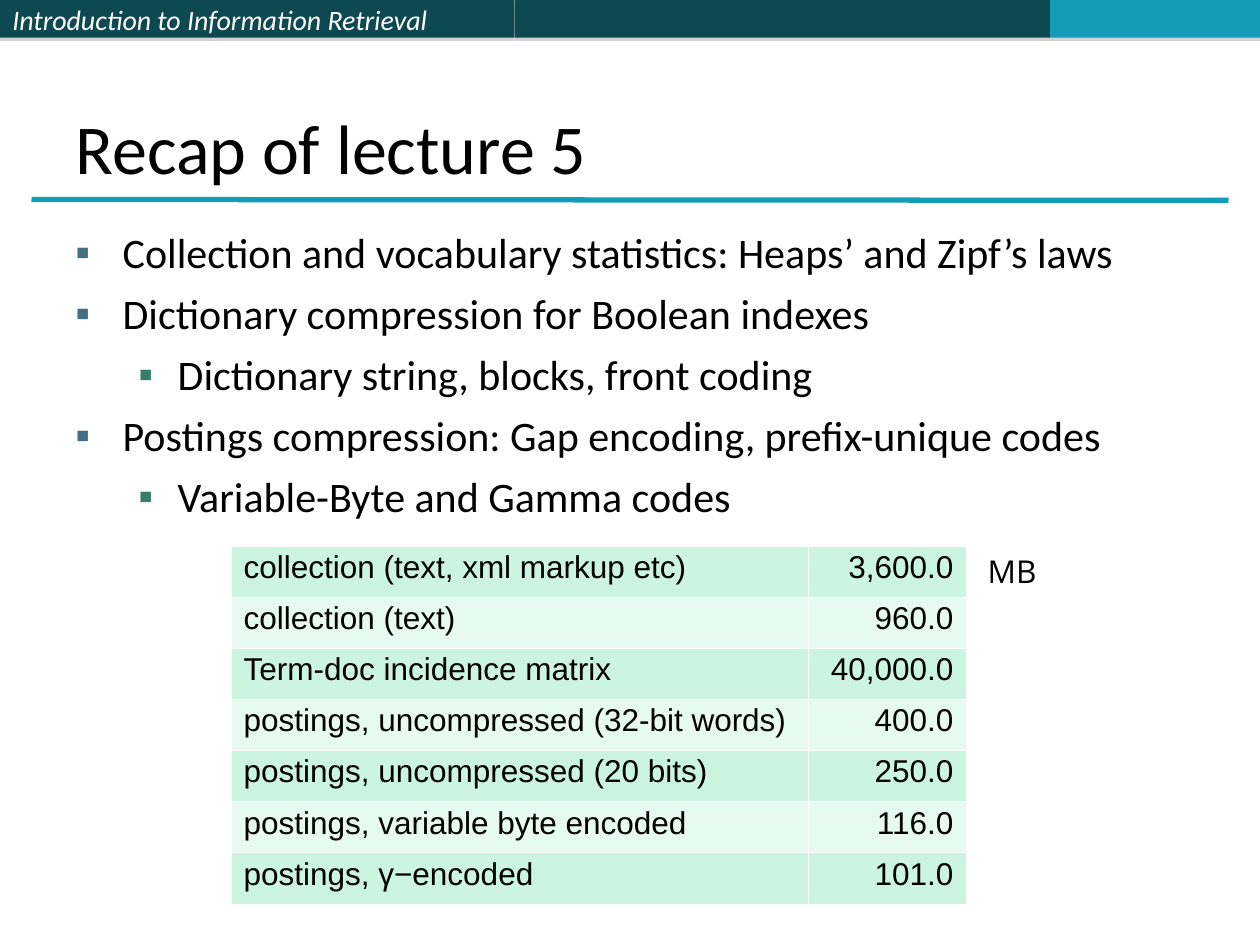
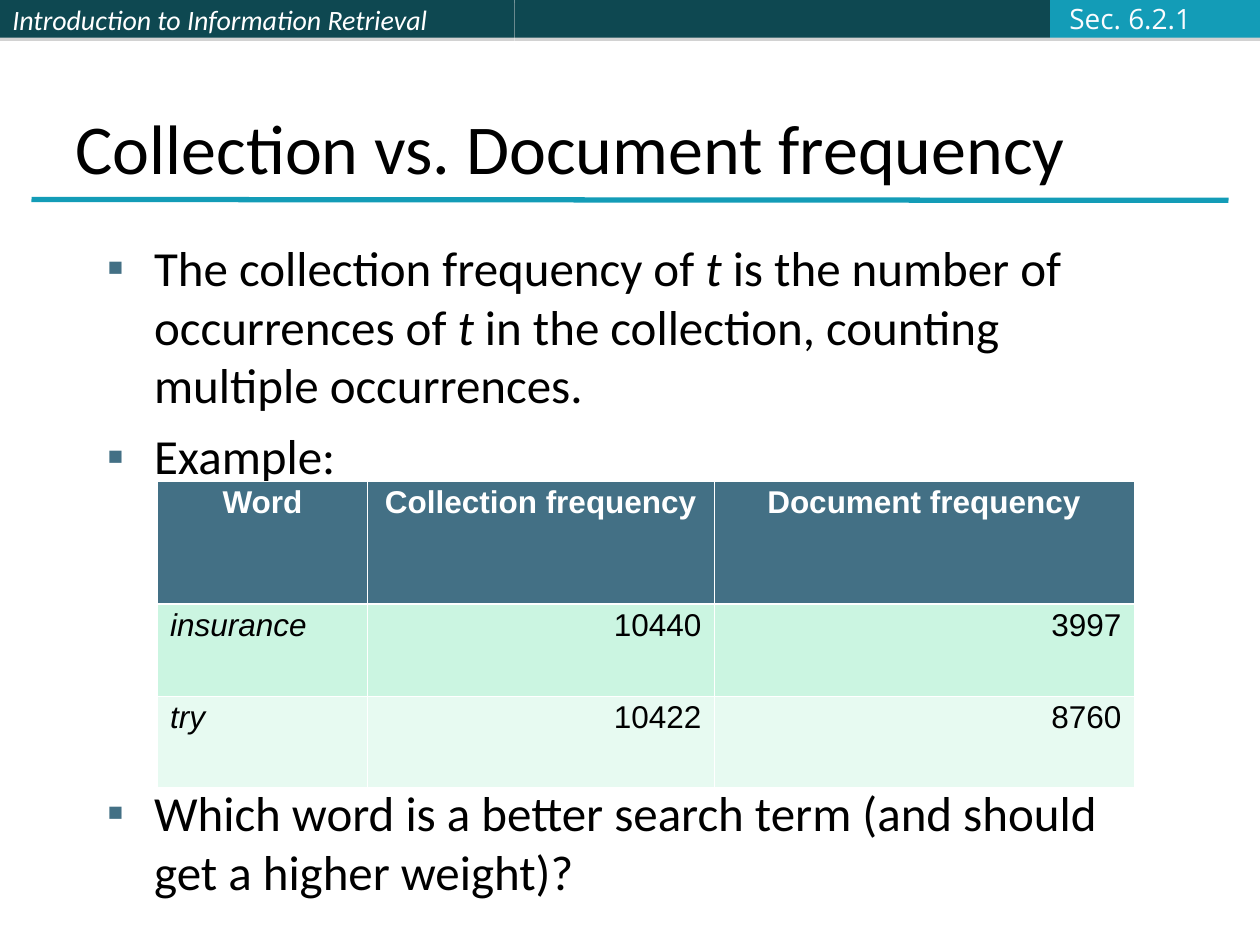
from lxml.etree import SubElement
from pptx import Presentation
from pptx.dml.color import RGBColor
from pptx.enum.shapes import MSO_CONNECTOR, MSO_SHAPE
from pptx.enum.text import MSO_ANCHOR, MSO_AUTO_SIZE, PP_ALIGN
from pptx.oxml.ns import qn
from pptx.util import Pt

COLORS = {
    "dark": "0E4851", "accent": "139CB7", "shadow": "808080",
    "ink": "000000", "white": "FFFFFF", "section": "FBFCFF",
    "bullet": "437085", "sub_bullet": "357E69",
    "header": "437085", "row_odd": "CBF5E1", "row_even": "E7FAF1",
}
HEADING, TABLE_FONT, LABEL = "Calibri", "Arial", "Open Sans"
BAND_HEIGHT = 21.6
THIN, THICK = 0.23, 0.75
LEVELS = [(27, -27, "bullet"), (58.5, -22.5, "sub_bullet")]  # indent, hanging, colour


def rgb(name):
    return RGBColor.from_string(COLORS[name])


def add_xml_color(parent, name):
    return SubElement(parent, qn("a:srgbClr"), val=COLORS[name])


def write(para, text, *, size, font=HEADING, color="ink", bold=False, italic=False,
          align=PP_ALIGN.LEFT, before=0, line=None):
    """Fill a paragraph; words between asterisks are italic."""
    para.alignment = align
    para.space_before = Pt(before)
    if line:
        para.line_spacing = line
    for index, piece in enumerate(text.split("*")):
        if not piece:
            continue
        span = para.add_run()
        span.text = piece
        span.font.size = Pt(size)
        span.font.name = font
        span.font.bold = bold
        span.font.italic = italic or index % 2 == 1
        span.font.color.rgb = rgb(color)


def set_bullet(para, level):
    indent, hanging, color = LEVELS[level]
    para.level = level
    properties = para._p.get_or_add_pPr()
    properties.set("marL", str(Pt(indent)))
    properties.set("indent", str(Pt(hanging)))
    add_xml_color(SubElement(properties, qn("a:buClr")), color)
    SubElement(properties, qn("a:buFont"), typeface="Arial")
    SubElement(properties, qn("a:buChar"), char="▪")


def add_band(page, left, width, color):
    """Add one part of the top band, with its thin drop shadow."""
    band = page.shapes.add_shape(MSO_SHAPE.RECTANGLE, Pt(left), 0, Pt(width), Pt(BAND_HEIGHT))
    band.fill.solid()
    band.fill.fore_color.rgb = rgb(color)
    band.line.fill.background()
    band.shadow.inherit = False
    effects = band._element.spPr.find(qn("a:effectLst"))
    shadow = SubElement(effects, qn("a:outerShdw"), blurRad="0", dist=str(Pt(1.8)),
                        dir="5400000", algn="ctr", rotWithShape="0")
    SubElement(add_xml_color(shadow, "shadow"), qn("a:alpha"), val="35000")
    return band


def add_title_rule(page):
    rule = page.shapes.add_connector(MSO_CONNECTOR.STRAIGHT, Pt(18), Pt(114), Pt(882 - 180), Pt(114.5))
    rule.line.color.rgb = rgb("accent")
    rule.line.width = Pt(3)
    SubElement(rule._element.spPr, qn("a:effectLst"))


def add_page(deck, title):
    page = deck.slides.add_slide(deck.slide_layouts[5])
    course = add_band(page, 0, 294, "dark")
    add_band(page, 294, 306, "dark")
    add_band(page, 600, 120, "accent")
    course.text_frame.vertical_anchor = MSO_ANCHOR.MIDDLE
    write(course.text_frame.paragraphs[0], "Introduction to Information Retrieval",
          size=16, color="white", italic=True)
    add_title_rule(page)

    heading = page.shapes.title
    heading.left, heading.top, heading.width, heading.height = Pt(36), Pt(21.6), Pt(648), Pt(90)
    heading.text_frame.auto_size = MSO_AUTO_SIZE.NONE
    heading.text_frame.vertical_anchor = MSO_ANCHOR.BOTTOM
    write(heading.text_frame.paragraphs[0], title, size=40)
    return page


def add_bullets(page, left, top, width, height, items, size, before):
    """Items are (level, text) or (level, text, space before)."""
    box = page.shapes.add_textbox(Pt(left), Pt(top), Pt(width), Pt(height))
    frame = box.text_frame
    frame.word_wrap = True
    for index, (level, text, *gap) in enumerate(items):
        para = frame.add_paragraph() if index else frame.paragraphs[0]
        write(para, text, size=size, before=gap[0] if gap else before)
        set_bullet(para, level)


def add_label(page, left, top, width, height, text, anchor=MSO_ANCHOR.TOP, **style):
    box = page.shapes.add_textbox(Pt(left), Pt(top), Pt(width), Pt(height))
    box.text_frame.word_wrap = False
    box.text_frame.vertical_anchor = anchor
    write(box.text_frame.paragraphs[0], text, font=LABEL, **style)


def set_borders(cell, top=THIN, bottom=THIN):
    properties = cell._tc.get_or_add_tcPr()
    edges = {"a:lnL": THIN, "a:lnR": THIN, "a:lnT": top, "a:lnB": bottom}
    for index, (tag, width) in enumerate(edges.items()):
        edge = SubElement(properties, qn(tag), w=str(Pt(width)))
        add_xml_color(SubElement(edge, qn("a:solidFill")), "white")
        properties.insert(index, edge)


def add_grid(page, left, top, widths, heights, rows, header=False):
    """Add a banded table: words on the left, numbers aligned right."""
    grid = page.shapes.add_table(len(rows), len(widths), Pt(left), Pt(top),
                                 Pt(sum(widths)), Pt(sum(heights))).table
    grid.first_row = grid.horz_banding = False
    for column, width in zip(grid.columns, widths):
        column.width = Pt(width)
    for row, height in zip(grid.rows, heights):
        row.height = Pt(height)
    for r, texts in enumerate(rows):
        is_header = header and r == 0
        fill = "header" if is_header else ("row_odd", "row_even")[(r - header) % 2]
        for c, text in enumerate(texts):
            cell = grid.cell(r, c)
            cell.fill.solid()
            cell.fill.fore_color.rgb = rgb(fill)
            set_borders(cell, top=THICK if header and r == 1 else THIN,
                        bottom=THICK if is_header else THIN)
            align = PP_ALIGN.CENTER if is_header else PP_ALIGN.RIGHT if c else PP_ALIGN.LEFT
            write(cell.text_frame.paragraphs[0], text, size=18, font=TABLE_FONT, bold=is_header,
                  color="white" if is_header else "ink", align=align, line=0.93)


def add_recap(deck):
    page = add_page(deck, "Recap of lecture 5")
    add_bullets(page, 36, 126, 648, 390, [
        (0, "Collection and vocabulary statistics: Heaps’ and Zipf’s laws"),
        (0, "Dictionary compression for Boolean indexes"),
        (1, "Dictionary string, blocks, front coding"),
        (0, "Postings compression: Gap encoding, prefix-unique codes"),
        (1, "Variable-Byte and Gamma codes"),
    ], size=24, before=6)
    sizes = [
        ("collection (text, xml markup etc)", "3,600.0"),
        ("collection (text)", "960.0"),
        ("Term-doc incidence matrix", "40,000.0"),
        ("postings, uncompressed (32-bit words)", "400.0"),
        ("postings, uncompressed (20 bits)", "250.0"),
        ("postings, variable byte encoded", "116.0"),
        ("postings, γ−encoded", "101.0"),
    ]
    add_grid(page, 132, 312, [330, 90], [29.2] * len(sizes), sizes)
    add_label(page, 557.3, 312, 42.5, 28.8, "MB", size=18)


def add_frequency(deck):
    page = add_page(deck, "Collection vs. Document frequency")
    add_bullets(page, 54, 132, 612, 384, [
        (0, "The collection frequency of *t* is the number of occurrences of *t* "
            "in the collection, counting multiple occurrences."),
        (0, "Example:"),
        (0, "Which word is a better search term (and should get a higher weight)?", 170),
    ], size=28, before=7)
    add_grid(page, 90, 275, [120, 198, 240], [70.2, 52.4, 52.4], [
        ("Word", "Collection frequency", "Document frequency"),
        ("*insurance*", "10440", "3997"),
        ("*try*", "10422", "8760"),
    ], header=True)
    add_label(page, 604, -2.9, 84.2, 26.6, "Sec. 6.2.1", anchor=MSO_ANCHOR.MIDDLE,
              size=16, color="section")


def main():
    deck = Presentation()
    deck.slide_width, deck.slide_height = Pt(720), Pt(540)
    add_recap(deck)
    add_frequency(deck)
    deck.save("out.pptx")


if __name__ == "__main__":
    main()
